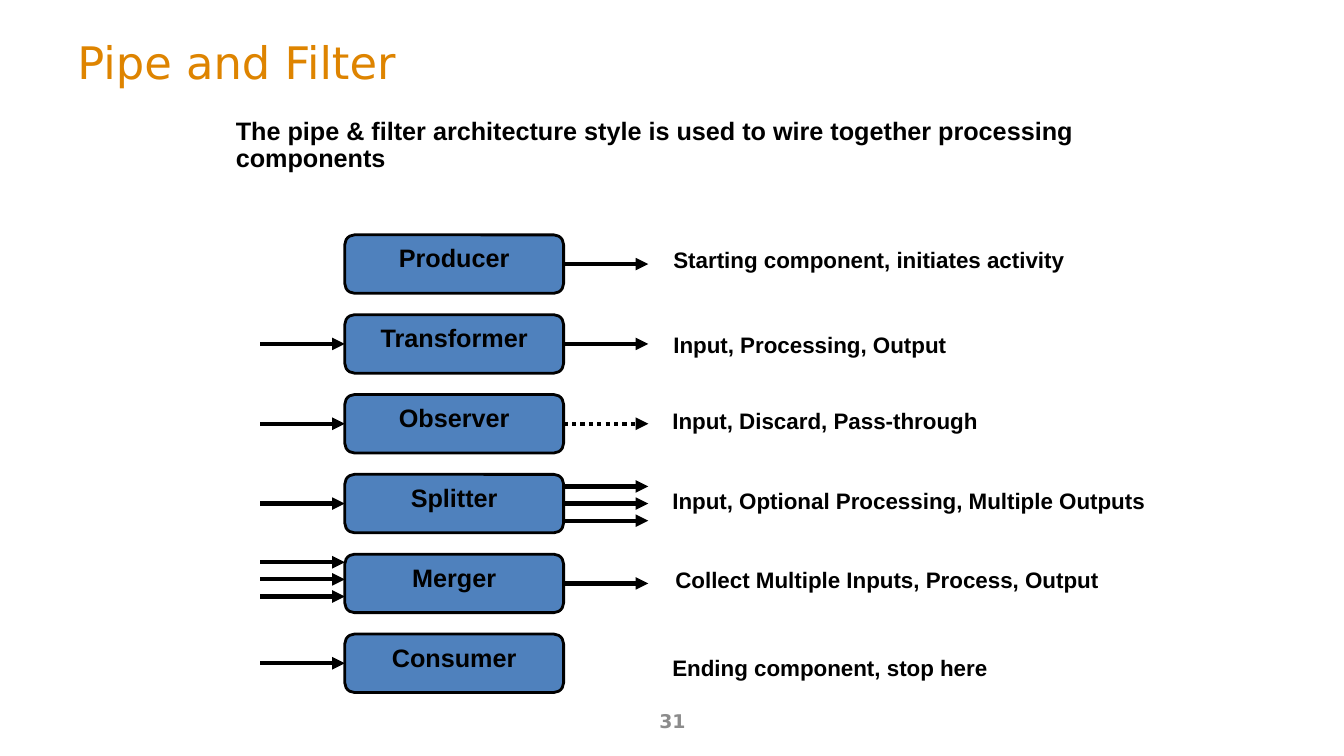
from lxml import etree
from pptx import Presentation
from pptx import util as u
from pptx.dml.color import RGBColor
from pptx.enum import dml, shapes, text
from pptx.oxml.ns import qn

# Content: name, inputs, outputs, output dash, description, description left and top
TITLE = "Pipe and Filter"
SUMMARY = "The pipe & filter architecture style is used to wire together processing components"
PAGE = "31"
DOTTED = dml.MSO_LINE.ROUND_DOT
COMPONENTS = [
    ("Producer", 0, 1, None, "Starting component, initiates activity", 6.58, 2.42),
    ("Transformer", 1, 1, None, "Input, Processing, Output", 6.58, 3.27),
    ("Observer", 1, 1, DOTTED, "Input, Discard, Pass-through", 6.57, 4.02),
    ("Splitter", 1, 3, None, "Input, Optional Processing, Multiple Outputs", 6.57, 4.81),
    ("Merger", 3, 1, None, "Collect Multiple Inputs, Process, Output", 6.6, 5.6),
    ("Consumer", 1, 0, None, "Ending component, stop here", 6.57, 6.47),
]
INPUT_SHIFT = {"Merger": -0.04}

THEME = {
    "ink": RGBColor.from_string("000000"),
    "box": RGBColor.from_string("4F81BD"),
    "title": dict(name="DejaVu Sans", size=u.Pt(32), color="DE8400"),
    "page": dict(name="DejaVu Sans", size=u.Pt(13.5), color="8C8C8C", bold=True),
    "label": dict(name="Arial", size=u.Pt(18), color="000000", bold=True),
    "note": dict(name="Arial", size=u.Pt(16), color="000000", bold=True),
}

# Grid, in inches
BOX_LEFT, BOX_WIDTH, BOX_HEIGHT = 3.42, 2.17, 0.58
FIRST_ROW, ROW_PITCH = 2.33, 3.96 / 5
ARROW_LENGTH, ARROW_GAP = 0.84, 0.17
LEFT_SIDE, RIGHT_SIDE = 1, 3


def write(frame, words, style, **paragraph_format):
    paragraph = frame.paragraphs[0]
    for key, value in paragraph_format.items():
        setattr(paragraph, key, value)
    run = paragraph.add_run()
    run.text = words
    for key, value in THEME[style].items():
        if key == "color":
            run.font.color.rgb = RGBColor.from_string(value)
        else:
            setattr(run.font, key, value)


def add_text(slide, area, words, style, anchor=text.MSO_ANCHOR.TOP, **paragraph_format):
    frame = slide.shapes.add_textbox(*map(u.Inches, area)).text_frame
    frame.word_wrap = True
    frame.vertical_anchor = anchor
    write(frame, words, style, **paragraph_format)


def add_box(slide, name, top):
    box = slide.shapes.add_shape(
        shapes.MSO_SHAPE.ROUNDED_RECTANGLE,
        *map(u.Inches, (BOX_LEFT, top, BOX_WIDTH, BOX_HEIGHT)))
    box.shadow.inherit = False
    box.fill.solid()
    box.fill.fore_color.rgb = THEME["box"]
    box.line.color.rgb = THEME["ink"]
    box.line.width = u.Pt(2)
    box.text_frame.word_wrap = False
    box.text_frame.vertical_anchor = text.MSO_ANCHOR.TOP
    write(box.text_frame, name, "label", alignment=text.PP_ALIGN.CENTER)
    return box


def add_arrow(slide, left, y, dash=None):
    arrow = slide.shapes.add_connector(
        shapes.MSO_CONNECTOR.STRAIGHT,
        *map(u.Inches, (left, y, left + ARROW_LENGTH, y)))
    arrow.line.color.rgb = THEME["ink"]
    arrow.line.width = u.Pt(3)
    if dash:
        arrow.line.dash_style = dash
    etree.SubElement(arrow.line._get_or_add_ln(), qn("a:tailEnd"), type="triangle")
    etree.SubElement(arrow._element.spPr, qn("a:effectLst"))
    return arrow


def spread(count, middle):
    return [middle + (i - (count - 1) / 2) * ARROW_GAP for i in range(count)]


def main():
    deck = Presentation()
    deck.slide_width, deck.slide_height = u.Inches(13.33), u.Inches(7.5)
    slide = deck.slides.add_slide(deck.slide_layouts[6])

    # Heading, summary and page number
    add_text(slide, (0.67, 0.3, 12, 0.76), TITLE, "title")
    add_text(slide, (2.24, 1.13, 9.42, 0.65), SUMMARY, "label", line_spacing=0.9)
    add_text(slide, (4.56, 6.95, 4.22, 0.4), PAGE, "page",
             text.MSO_ANCHOR.MIDDLE, alignment=text.PP_ALIGN.CENTER)

    # One row per component
    for row, (name, inputs, outputs, dash, note, note_left, note_top) in enumerate(COMPONENTS):
        top = FIRST_ROW + row * ROW_PITCH
        middle = top + BOX_HEIGHT / 2
        box = add_box(slide, name, top)
        shift = INPUT_SHIFT.get(name, 0)
        for y in spread(inputs, middle + shift):
            arrow = add_arrow(slide, BOX_LEFT - ARROW_LENGTH, y)
            if y == middle:
                arrow.end_connect(box, LEFT_SIDE)
        for y in spread(outputs, middle):
            arrow = add_arrow(slide, BOX_LEFT + BOX_WIDTH, y, dash)
            if y == middle:
                arrow.begin_connect(box, RIGHT_SIDE)
        add_text(slide, (note_left, note_top, 4.92, 0.34), note, "note", line_spacing=0.9)

    deck.save("out.pptx")


if __name__ == "__main__":
    main()
